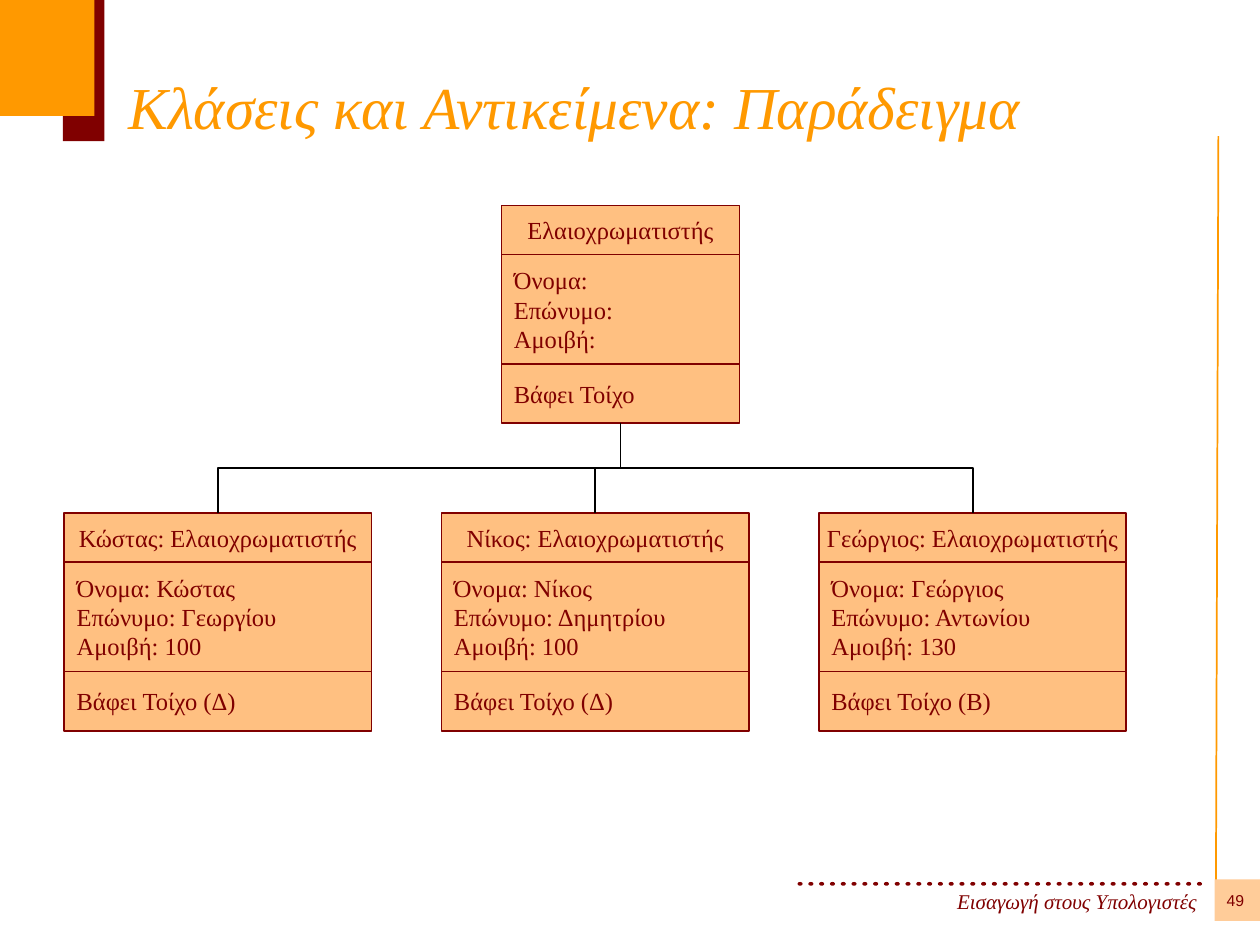
import pptx
import pptx.dml.color
import pptx.enum.shapes
import pptx.enum.text
import pptx.oxml.ns
import pptx.oxml.xmlchemy
import pptx.util
from lxml import etree

Inches = pptx.util.Inches
SHAPE = pptx.enum.shapes.MSO_SHAPE
CONNECTOR = pptx.enum.shapes.MSO_CONNECTOR
ANCHOR = pptx.enum.text.MSO_ANCHOR
ALIGN = pptx.enum.text.PP_ALIGN
qn = pptx.oxml.ns.qn

COLORS = {
    "orange": "FF9900",
    "maroon": "800000",
    "peach": "FFCC99",
    "card": "FFC081",
    "black": "000000",
}
COLORS = {name: pptx.dml.color.RGBColor.from_string(value) for name, value in COLORS.items()}


def add_block(shapes, kind, place, fill, line=None):
    """Add a shadowless filled shape, outlined only if line names a colour."""
    block = shapes.add_shape(kind, *[Inches(length) for length in place])
    block.shadow.inherit = False
    block.fill.solid()
    block.fill.fore_color.rgb = COLORS[fill]
    if line:
        block.line.color.rgb = COLORS[line]
        block.line.width = pptx.util.Pt(1)
    else:
        block.line.fill.background()
    return block


def write(shape, lines, size, color="maroon", font="Times New Roman", italic=False,
          align=ALIGN.LEFT, anchor=ANCHOR.MIDDLE, wrap=False, insets=(0.1, 0.05)):
    """Put one paragraph per line into the shape and format it."""
    frame = shape.text_frame
    side, end = [Inches(inset) for inset in insets]
    frame_format = {
        "word_wrap": wrap, "vertical_anchor": anchor,
        "margin_left": side, "margin_right": side,
        "margin_top": end, "margin_bottom": end,
    }
    for name, value in frame_format.items():
        setattr(frame, name, value)
    font_format = {"size": pptx.util.Pt(size), "name": font, "italic": italic, "bold": False}
    frame.text = "\n".join(lines)
    for para in frame.paragraphs:
        para.alignment = align
        for span in para.runs:
            for name, value in font_format.items():
                setattr(span.font, name, value)
            span.font.color.rgb = COLORS[color]


deck = pptx.Presentation()
deck.slide_width, deck.slide_height = Inches(10), Inches(7.5)
page = deck.slides.add_slide(deck.slide_layouts[5])
shapes = page.shapes

# Decoration at the edges
side_line = shapes.add_connector(
    CONNECTOR.STRAIGHT, Inches(9.65), Inches(7.14), Inches(9.67), Inches(1.08))
add_block(shapes, SHAPE.RECTANGLE, (0.5, 0, 0.33, 1.12), "maroon")
add_block(shapes, SHAPE.RECTANGLE, (0, 0, 0.75, 0.92), "orange")

# Dotted rule and footer
DOT_COUNT, FIRST_DOT, LAST_DOT = 38, 6.33, 9.5
dot_step = (LAST_DOT - FIRST_DOT) / (DOT_COUNT - 1)
dots = shapes.add_group_shape()
for index in range(DOT_COUNT):
    add_block(dots.shapes, SHAPE.OVAL, (FIRST_DOT + index * dot_step, 7, 0.04, 0.03), "maroon")

footer = shapes.add_textbox(Inches(0.75), Inches(7), Inches(8.75), Inches(0.3))
write(footer, ["Εισαγωγή στους Υπολογιστές"], 12, italic=True, align=ALIGN.RIGHT,
      anchor=ANCHOR.TOP, wrap=True, insets=(0, 0.05))
add_block(shapes, SHAPE.RECTANGLE, (9.64, 6.98, 0.36, 0.33), "peach")
number = shapes.add_textbox(Inches(9.65), Inches(6.98), Inches(0.31), Inches(0.33))
write(number, ["49"], 9, font="Arial", align=ALIGN.CENTER, insets=(0, 0))

# Title
title = shapes.title
title_place = {"left": 0.92, "top": 0.5, "width": 8.58, "height": 0.67}
for name, value in title_place.items():
    setattr(title, name, Inches(value))
write(title, ["Κλάσεις και Αντικείμενα: Παράδειγμα"], 34, "orange", italic=True,
      anchor=ANCHOR.BOTTOM, wrap=True)
title.text_frame.auto_size = pptx.enum.text.MSO_AUTO_SIZE.NONE

# Class card on top, object cards in a row below: name, attributes, method
SECTION_HEIGHTS = (0.39, 0.87, 0.47)
CLASS_NAME = "Ελαιοχρωματιστής"
OBJECT_LEFT, OBJECT_STEP, OBJECT_TOP, OBJECT_WIDTH = 0.51, 2.995, 4.07, 2.44
objects = [
    ("Κώστας", "Γεωργίου", 100, "Δ"),
    ("Νίκος", "Δημητρίου", 100, "Δ"),
    ("Γεώργιος", "Αντωνίου", 130, "Β"),
]
cards = [(3.98, 1.63, 1.89, [
    [CLASS_NAME], ["Όνομα:", "Επώνυμο:", "Αμοιβή:"], ["Βάφει Τοίχο"]])]
for index, (first, last, fee, wall) in enumerate(objects):
    cards.append((OBJECT_LEFT + index * OBJECT_STEP, OBJECT_TOP, OBJECT_WIDTH, [
        [f"{first}: {CLASS_NAME}"],
        [f"Όνομα: {first}", f"Επώνυμο: {last}", f"Αμοιβή: {fee}"],
        [f"Βάφει Τοίχο ({wall})"]]))

card_sections = []
for left, top, width, texts in cards:
    card = shapes.add_group_shape()
    sections = []
    for height, lines in zip(SECTION_HEIGHTS, texts):
        section = add_block(card.shapes, SHAPE.RECTANGLE, (left, top, width, height),
                            "card", "maroon")
        write(section, lines, 14,
              align=ALIGN.LEFT if sections else ALIGN.CENTER)
        sections.append(section)
        top += height
    card_sections.append(sections)

# Elbow connectors: each is a sideways elbow turned a quarter about its centre
class_bottom = card_sections[0][-1]
end_x = class_bottom.left + class_bottom.width // 2
end_y = class_bottom.top + class_bottom.height
connectors = [(side_line, "orange")]
for name_section, *_ in card_sections[1:]:
    start_x = name_section.left + name_section.width // 2
    start_y = name_section.top
    drop, reach = start_y - end_y, abs(end_x - start_x)
    elbow = shapes.add_connector(CONNECTOR.ELBOW, start_x, start_y, end_x, end_y)
    elbow.begin_connect(name_section, 0)
    elbow.end_connect(class_bottom, 2)
    elbow_place = {
        "left": (start_x + end_x - drop) // 2, "top": (start_y + end_y - reach) // 2,
        "width": drop, "height": reach,
    }
    for name, value in elbow_place.items():
        setattr(elbow, name, value)
    from_right = start_x > end_x
    turn = {"rot": "5400000" if from_right else "16200000",
            "flipH": "1" if from_right else "0", "flipV": "0"}
    for name, value in turn.items():
        elbow._element.spPr.find(qn("a:xfrm")).set(name, value)
    connectors.append((elbow, "black"))

for connector, color in connectors:
    connector.line.color.rgb = COLORS[color]
    connector.line.width = pptx.util.Pt(1)
    etree.SubElement(connector._element.spPr, qn("a:effectLst"))

deck.save("out.pptx")
